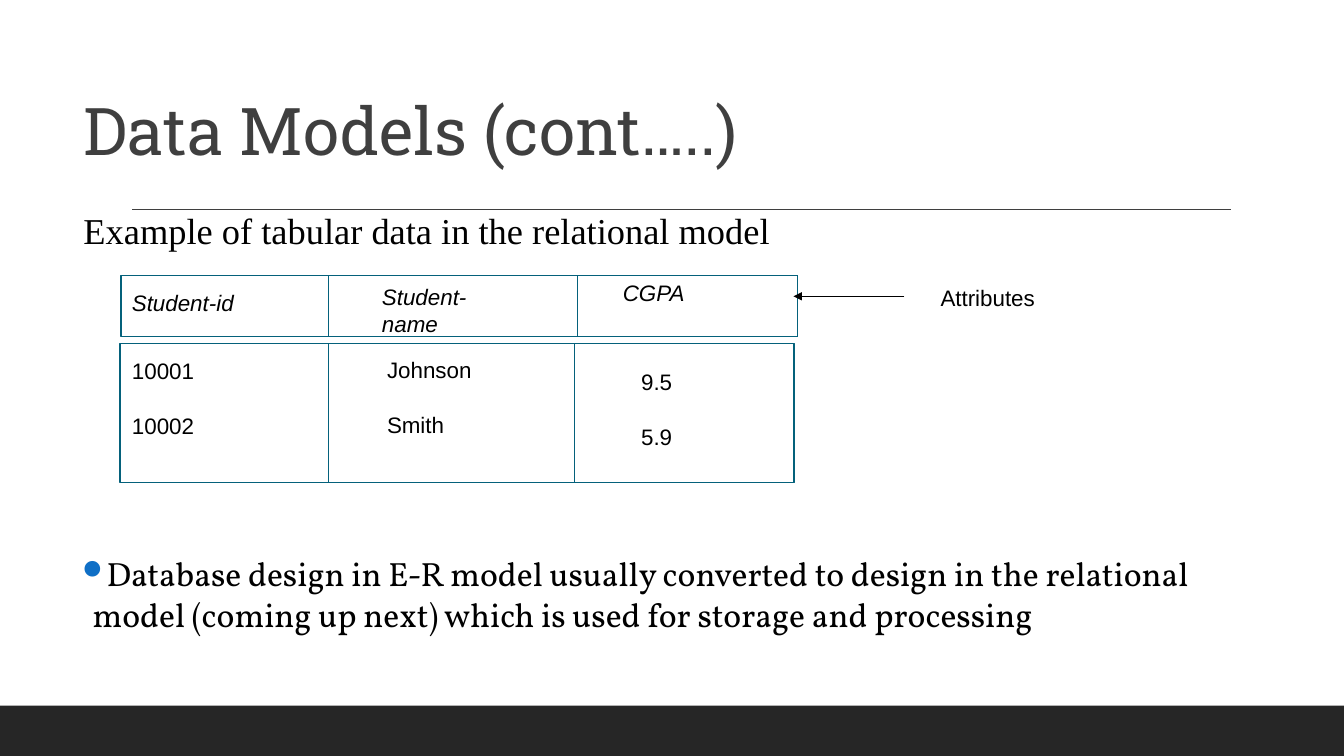
from dataclasses import dataclass

from lxml import etree
from pptx import Presentation
from pptx.dml.color import RGBColor
from pptx.enum.shapes import MSO_CONNECTOR, MSO_SHAPE
from pptx.enum.text import MSO_ANCHOR, MSO_AUTO_SIZE, PP_ALIGN
from pptx.oxml.ns import qn
from pptx.util import Pt

RECTANGLE = MSO_SHAPE.RECTANGLE
STRAIGHT = MSO_CONNECTOR.STRAIGHT
TOP, BOTTOM = MSO_ANCHOR.TOP, MSO_ANCHOR.BOTTOM
NO_FIT, GROW = MSO_AUTO_SIZE.NONE, MSO_AUTO_SIZE.SHAPE_TO_FIT_TEXT
LEFT = PP_ALIGN.LEFT
PX = 9144
TITLE_ONLY = 5


@dataclass(frozen=True)
class Style:
    font: str
    size: int
    color: str = "000000"
    italic: bool = False
    spacing: float = 1.0
    gap: int = 0


@dataclass(frozen=True)
class Theme:
    title = Style("Roboto Slab", 47, "3F3F3F", spacing=0.9)
    caption = Style("Times New Roman", 26, spacing=0.8)
    heading = Style("Arial", 16, italic=True)
    value = Style("Arial", 16, gap=20)
    point = Style("Vollkorn", 24)
    paper = "FFFFFF"
    band = "262626"
    rule = "3F3F3F"
    grid = "04617B"
    arrow = "000000"
    bullet = "0F6FC6"


THEME = Theme()
SLIDE = (1333, 750)
BAND = (0, 700, 1333, 50)
TITLE = ("Data Models (cont…..)", (73, 14, 1100, 159))
CAPTION = ("Example of tabular data in the relational model", (73, 210, 707, 46))
POINT = (
    "Database design in E-R model usually converted to design in the relational "
    "model (coming up next) which is used for storage and processing",
    (32, 544, 1180, 91),
)
TITLE_RULE = (131, 208, 1221, 208)
ATTRIBUTE_ARROW = (897, 294, 787, 294)
GRID_FRAMES = [
    ((120, 273, 671, 61), (326, 573, 791)),
    ((119, 341, 669, 138), (326, 570, 787)),
]
LABELS = [
    (["Student-", "name"], (369, 276, 105, 64), THEME.heading),
    (["Student-id"], (121, 282, 188, 37), THEME.heading),
    (["CGPA"], (608, 272, 84, 37), THEME.heading),
    (["Johnson", "Smith"], (374, 348, 105, 118), THEME.value),
    (["10001", "10002"], (121, 349, 82, 118), THEME.value),
    (["9.5", "5.9"], (626, 360, 51, 118), THEME.value),
    (["Attributes"], (923, 277, 115, 37), THEME.value),
]


def emu(lengths):
    return [length * PX for length in lengths]


def rgb(color):
    return RGBColor.from_string(color)


def add_rectangle(page, place, fill, line=None):
    shape = page.shapes.add_shape(RECTANGLE, *emu(place))
    shape.shadow.inherit = False
    shape.fill.solid()
    shape.fill.fore_color.rgb = rgb(fill)
    if line:
        shape.line.color.rgb = rgb(line)
        shape.line.width = Pt(0.75)
    else:
        shape.line.fill.background()


def add_line(page, ends, color, width=0.75, arrow=False):
    connector = page.shapes.add_connector(STRAIGHT, *emu(ends))
    connector.line.color.rgb = rgb(color)
    connector.line.width = Pt(width)
    if arrow:
        outline = connector.line._get_or_add_ln()
        etree.SubElement(outline, qn("a:tailEnd"), type="triangle")
    etree.SubElement(connector._element.spPr, qn("a:effectLst"))


def write(box, lines, style, fit=NO_FIT, anchor=TOP):
    frame = box.text_frame
    frame.word_wrap = True
    frame.auto_size = fit
    frame.vertical_anchor = anchor
    for index, line in enumerate(lines):
        para = frame.add_paragraph() if index else frame.paragraphs[0]
        para.alignment = LEFT
        para.line_spacing = style.spacing
        para.space_before = Pt(style.gap if index else 0)
        span = para.add_run()
        span.text = line
        span.font.name = style.font
        span.font.size = Pt(style.size)
        span.font.italic = style.italic
        span.font.color.rgb = rgb(style.color)
    return box


def add_text(page, lines, place, style, fit=NO_FIT):
    return write(page.shapes.add_textbox(*emu(place)), lines, style, fit)


def add_bullet(para, left, indent, color):
    properties = para._p.get_or_add_pPr()
    properties.set("marL", str(left * PX))
    properties.set("indent", str(indent * PX))
    bullet_color = etree.SubElement(properties, qn("a:buClr"))
    etree.SubElement(bullet_color, qn("a:srgbClr"), val=color)
    etree.SubElement(properties, qn("a:buChar"), char="⚫")


def main():
    deck = Presentation()
    deck.slide_width, deck.slide_height = emu(SLIDE)
    page = deck.slides.add_slide(deck.slide_layouts[TITLE_ONLY])

    add_rectangle(page, BAND, THEME.band)
    add_line(page, TITLE_RULE, THEME.rule, width=1)

    title_text, title_place = TITLE
    title = page.shapes.title
    title.left, title.top, title.width, title.height = emu(title_place)
    write(title, [title_text], THEME.title, anchor=BOTTOM)

    caption_text, caption_place = CAPTION
    add_text(page, [caption_text], caption_place, THEME.caption)

    for frame, dividers in GRID_FRAMES:
        add_rectangle(page, frame, THEME.paper, THEME.grid)
        _, top, _, height = frame
        for x in dividers:
            add_line(page, (x, top, x, top + height), THEME.grid)

    for lines, place, style in LABELS:
        add_text(page, lines, place, style, GROW)
    add_line(page, ATTRIBUTE_ARROW, THEME.arrow, arrow=True)

    point_text, point_place = POINT
    point = add_text(page, [point_text], point_place, THEME.point)
    add_bullet(point.text_frame.paragraphs[0], 50, -14, THEME.bullet)

    deck.save("out.pptx")


if __name__ == "__main__":
    main()
